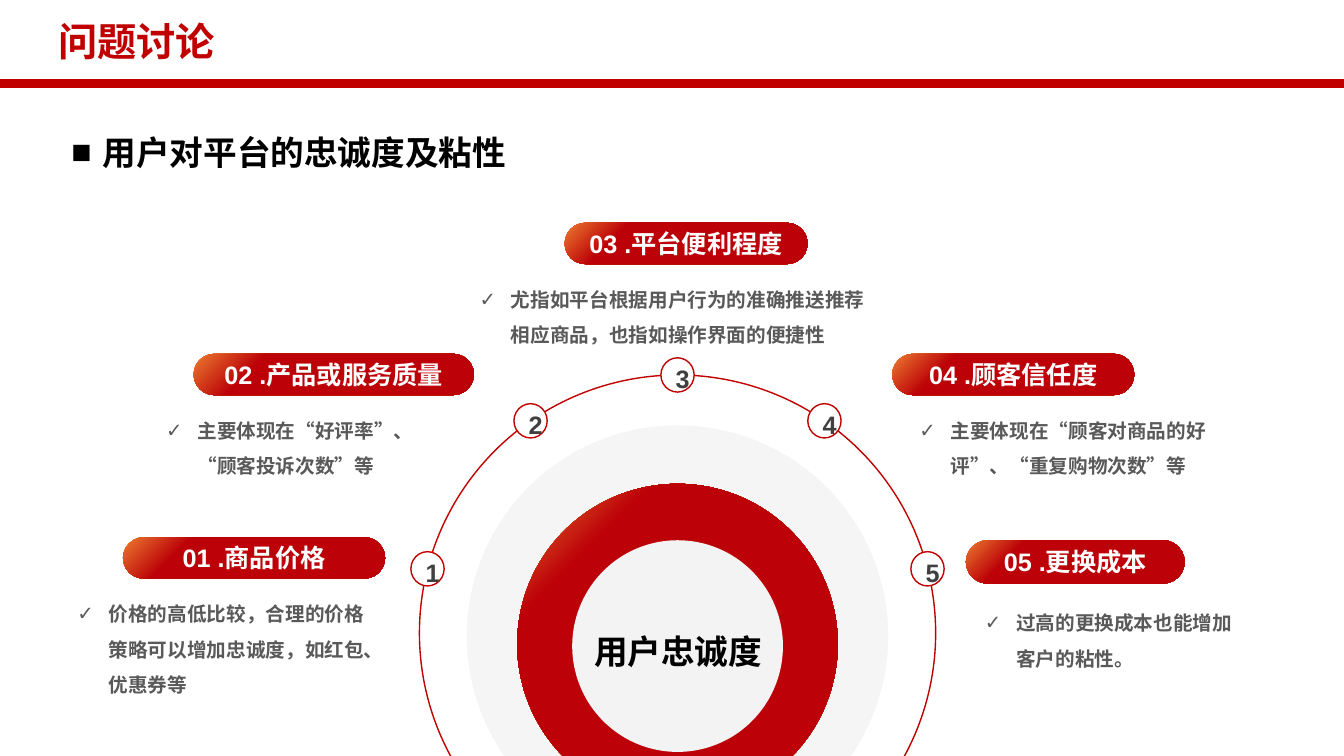
"""Build the slide on user loyalty to a platform, with five factors around a dome."""
import math
from dataclasses import dataclass

from pptx import Presentation, oxml, util as u
from pptx.dml.color import RGBColor
from pptx.enum import lang, shapes, text
from pptx.oxml import ns


@dataclass(frozen=True)
class Theme:
    latin: str = "Arial"
    chinese: str = "Noto Sans CJK SC"
    accent: str = "C00000"
    deep: str = "BC0208"
    glow: str = "ED7D31"
    black: str = "000000"
    white: str = "FFFFFF"
    body: str = "595959"
    digit: str = "404040"
    halo: str = "F5F5F5"
    core: str = "F3F3F3"
    title_size: int = 28
    heading_size: int = 24
    label_size: int = 18
    body_size: int = 14


THEME = Theme()
WIDTH, HEIGHT = 13.33, 7.5
CENTRE_X, RING_Y, RING_RADIUS = 6.72, 6.28, 2.56

FACTORS = [
    ("01 .商品价格", (1.22, 5.33, 2.6, 0.41),
     "价格的高低比较，合理的价格策略可以增加忠诚度，如红包、优惠券等", (0.67, 5.81, 3.23, 1.13), 165.6),
    ("02 .产品或服务质量", (1.92, 3.51, 2.78, 0.41),
     "主要体现在“好评率”、“顾客投诉次数”等", (1.55, 3.99, 2.95, 0.77), 124.7),
    ("03 .平台便利程度", (5.6, 2.21, 2.41, 0.41),
     "尤指如平台根据用户行为的准确推送推荐相应商品，也指如操作界面的便捷性", (4.66, 2.69, 4.14, 0.77), 90),
    ("04 .顾客信任度", (8.85, 3.51, 2.4, 0.41),
     "主要体现在“顾客对商品的好评”、“重复购物次数”等", (9.02, 3.99, 3.07, 0.77), 55.3),
    ("05 .更换成本", (9.58, 5.36, 2.17, 0.43),
     "过高的更换成本也能增加客户的粘性。", (9.67, 5.9, 2.69, 0.77), 14.4),
]


def rgb(colour):
    return RGBColor.from_string(colour)


def inches(values):
    return [u.Inches(value) for value in values]


def element(tag, attributes="", content=""):
    return oxml.parse_xml(f"<a:{tag} {ns.nsdecls('a')} {attributes}>{content}</a:{tag}>")


def write(frame, words, size, colour, latin, align=text.PP_ALIGN.LEFT,
          anchor=text.MSO_ANCHOR.TOP, spacing=None, bullet=None):
    frame.word_wrap = True
    frame.auto_size = text.MSO_AUTO_SIZE.NONE
    frame.vertical_anchor = anchor
    para = frame.paragraphs[0]
    para.alignment = align
    if spacing:
        para.line_spacing = spacing
    if bullet:
        props = para._p.get_or_add_pPr()
        props.set("marL", str(u.Inches(0.31)))
        props.set("indent", str(u.Inches(-0.31)))
        props.append(element("buFont", f'typeface="{THEME.latin}"'))
        props.append(element("buChar", f'char="{bullet}"'))
    span = para.add_run()
    span.text = words
    font = span.font
    font.size, font.bold, font.name = u.Pt(size), True, latin
    font.color.rgb = rgb(colour)
    font.language_id = lang.MSO_LANGUAGE_ID.SIMPLIFIED_CHINESE
    font._element.append(element("ea", f'typeface="{THEME.chinese}"'))


def add_text(page, area, words, size, colour, latin, **layout):
    box = page.shapes.add_textbox(*inches(area))
    write(box.text_frame, words, size, colour, latin, **layout)


def paint(shape, fill=None, line=None):
    shape.shadow.inherit = False
    if fill:
        shape.fill.solid()
        shape.fill.fore_color.rgb = rgb(fill)
    else:
        shape.fill.background()
    if line:
        shape.line.color.rgb = rgb(line)
        shape.line.width = u.Pt(1)
    else:
        shape.line.fill.background()


def paint_glow(shape):
    paint(shape)
    shape.fill.gradient()
    gradient = shape._element.spPr.find(ns.qn("a:gradFill"))
    for child in list(gradient):
        gradient.remove(child)
    gradient.append(element("gsLst", content=(
        f'<a:gs pos="77000"><a:srgbClr val="{THEME.deep}"/></a:gs>'
        f'<a:gs pos="100000"><a:srgbClr val="{THEME.glow}"/></a:gs>')))
    gradient.append(element("path", 'path="circle"', '<a:fillToRect l="100000" t="100000"/>'))


def add_dome(page, centre_y, radius, base_y):
    """Draw a circle cut off flat at base_y as one arc and its chord."""
    dip = math.asin((base_y - centre_y) / radius)
    half = radius * math.cos(dip)
    corners = [(CENTRE_X - radius, centre_y), (CENTRE_X, centre_y - radius),
               (CENTRE_X + radius, centre_y), (CENTRE_X + half, base_y)]
    builder = page.shapes.build_freeform(*inches((CENTRE_X - half, base_y)))
    builder.add_line_segments([inches(corner) for corner in corners], close=True)
    dome = builder.convert_to_shape()
    segments = list(dome._element.iter(ns.qn("a:lnTo")))
    start = round((180 - math.degrees(dip)) * 60000)
    sweep = round((180 + 2 * math.degrees(dip)) * 60000)
    reach = u.Inches(radius)
    segments[0].addprevious(element(
        "arcTo", f'wR="{reach}" hR="{reach}" stAng="{start}" swAng="{sweep}"'))
    for segment in segments:
        segment.getparent().remove(segment)
    return dome


def add_oval(page, centre_x, centre_y, width, height, fill, line=None):
    oval = page.shapes.add_shape(
        shapes.MSO_SHAPE.OVAL,
        *inches((centre_x - width / 2, centre_y - height / 2, width, height)))
    paint(oval, fill, line)
    return oval


def add_badge(page, number, degrees):
    angle = math.radians(degrees)
    badge = add_oval(page, CENTRE_X + RING_RADIUS * math.cos(angle),
                     RING_Y - RING_RADIUS * math.sin(angle), 0.33, 0.34, THEME.white, THEME.accent)
    frame = badge.text_frame
    frame.margin_left = u.Inches(0.1)
    frame.margin_right = frame.margin_top = frame.margin_bottom = 0
    write(frame, str(number), THEME.label_size, THEME.digit, THEME.latin,
          text.PP_ALIGN.CENTER, text.MSO_ANCHOR.MIDDLE, spacing=1.25)


def add_pill(page, area, words):
    pill = page.shapes.add_shape(shapes.MSO_SHAPE.ROUNDED_RECTANGLE, *inches(area))
    pill.adjustments[0] = 0.5
    paint_glow(pill)
    write(pill.text_frame, words, THEME.label_size, THEME.white, THEME.latin,
          text.PP_ALIGN.CENTER, text.MSO_ANCHOR.MIDDLE)


def add_header(page):
    rule = page.shapes.add_connector(shapes.MSO_CONNECTOR.STRAIGHT, *inches((0, 0.83, WIDTH, 0.83)))
    rule.line.color.rgb = rgb(THEME.accent)
    rule.line.width = u.Pt(6)
    rule._element.spPr.append(element("effectLst"))
    title = page.shapes.title
    title.left, title.top, title.width, title.height = inches((0.48, 0.12, 8.36, 0.57))
    write(title.text_frame, "问题讨论", THEME.title_size, THEME.accent, THEME.chinese)
    add_text(page, (0.61, 1.26, 6.69, 0.5), "用户对平台的忠诚度及粘性",
             THEME.heading_size, THEME.black, THEME.chinese, bullet="■")


def main():
    deck = Presentation()
    deck.slide_width, deck.slide_height = inches((WIDTH, HEIGHT))
    page = deck.slides.add_slide(deck.slide_layouts[5])
    add_header(page)
    for label, label_area, detail, detail_area, _ in FACTORS:
        add_pill(page, label_area, label)
        add_text(page, detail_area, detail, THEME.body_size, THEME.body, THEME.latin,
                 spacing=1.5, bullet="✓")
    paint(add_dome(page, RING_Y, RING_RADIUS, 7.74), line=THEME.accent)
    paint(add_dome(page, 6.31, 2.09, HEIGHT), THEME.halo)
    paint_glow(add_dome(page, 6.39, 1.59, HEIGHT))
    add_oval(page, CENTRE_X, 6.41, 2.09, 2.1, THEME.core)
    for number, factor in enumerate(FACTORS, 1):
        add_badge(page, number, factor[-1])
    add_text(page, (3.38, 6.21, 6.69, 0.5), "用户忠诚度", THEME.heading_size,
             THEME.black, THEME.chinese, align=text.PP_ALIGN.CENTER)
    deck.save("out.pptx")


if __name__ == "__main__":
    main()
